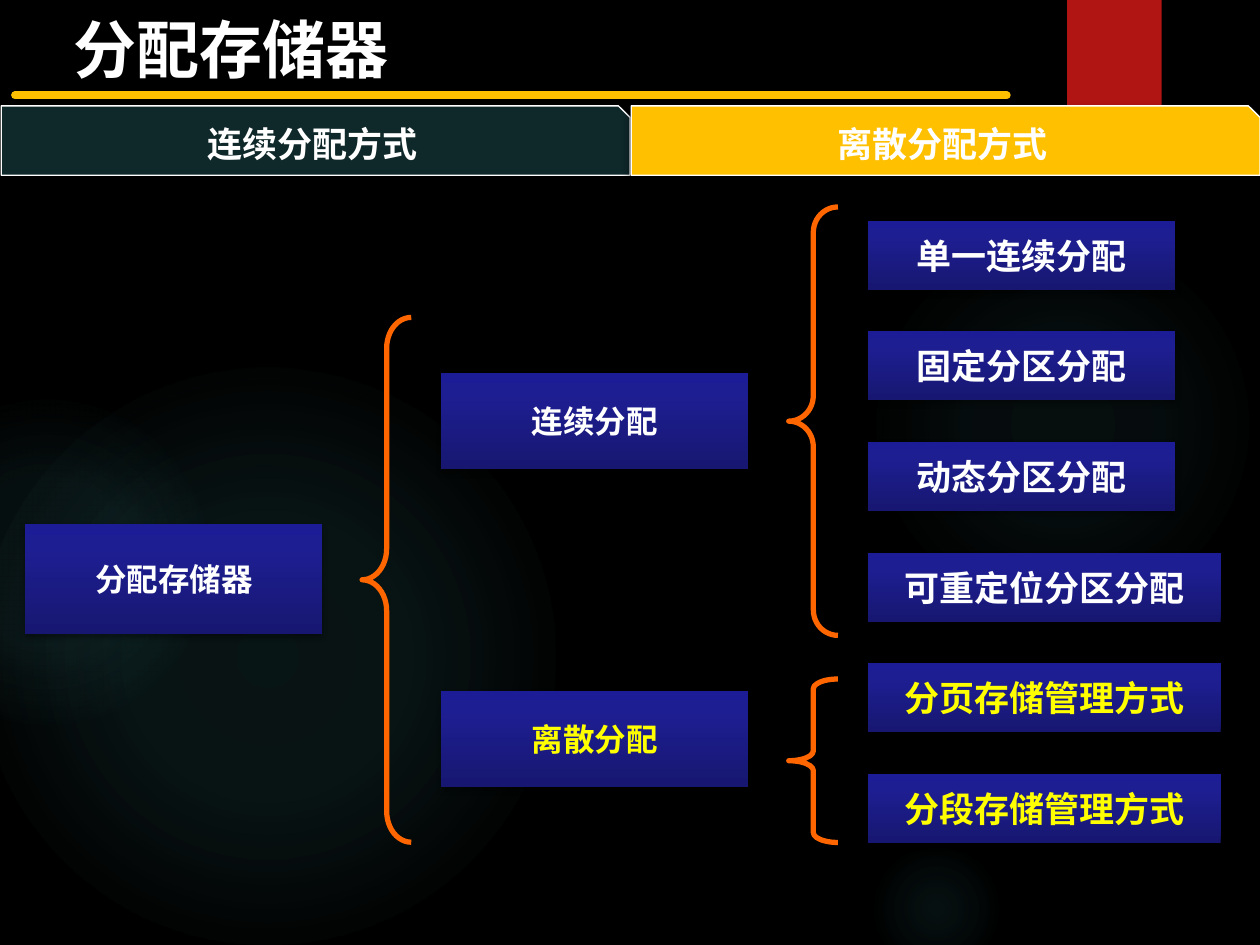
from typing import NamedTuple

from lxml import etree
from pptx import Presentation
from pptx.dml.color import RGBColor
from pptx.enum.shapes import MSO_CONNECTOR, MSO_SHAPE
from pptx.enum.text import MSO_ANCHOR, PP_ALIGN
from pptx.oxml.ns import qn
from pptx.util import Pt

RECTANGLE = MSO_SHAPE.RECTANGLE
ELLIPSE = MSO_SHAPE.OVAL
SNIPPED = MSO_SHAPE.SNIP_1_RECTANGLE
LEFT_BRACE = MSO_SHAPE.LEFT_BRACE

FONT = "Noto Sans CJK SC"
BLACK = RGBColor(0x00, 0x00, 0x00)
WHITE = RGBColor(0xFF, 0xFF, 0xFF)
YELLOW = RGBColor(0xFF, 0xFF, 0x00)
GOLD = RGBColor(0xFF, 0xC0, 0x00)
ORANGE = RGBColor(0xFF, 0x66, 0x00)
RED = RGBColor(0xB0, 0x15, 0x13)
DARK_TEAL = RGBColor(0x0F, 0x28, 0x2A)
GLOW_TEAL = RGBColor(0x50, 0xB9, 0xC1)
NAVY = RGBColor(0x17, 0x17, 0x71)
BLUE = RGBColor(0x1E, 0x1E, 0x93)
BRIGHT_BLUE = RGBColor(0x1C, 0x1C, 0x96)


class Stop(NamedTuple):
    position: int
    color: RGBColor
    opacity: int = 100


class Shadow(NamedTuple):
    opacity: int
    blur: float
    distance: float


class Glow(NamedTuple):
    left: float
    top: float
    size: float
    stops: tuple[tuple[int, int], ...]


class Tab(NamedTuple):
    text: str
    left: float
    color: RGBColor


class Node(NamedTuple):
    text: str
    left: float
    top: float
    width: float
    height: float
    size: int = 18
    color: RGBColor = WHITE


class Brace(NamedTuple):
    left: float
    top: float
    height: float
    curve: float


GLOWS = [
    Glow(496, 131.8, 221.8, ((0, 7), (36, 6), (69, 0))),
    Glow(496, 480.2, 77.8, ((0, 9), (36, 5), (66, 0))),
    Glow(-12.2, 210.2, 329.8, ((0, 11), (36, 10), (75, 0))),
    Glow(-66.2, 228.2, 185.8, ((0, 8), (36, 8), (72, 0))),
]
TABS = [Tab("连续分配方式", 0.7, DARK_TEAL), Tab("离散分配方式", 360.7, GOLD)]
NODE_STOPS = [Stop(0, NAVY), Stop(80, BLUE), Stop(100, BRIGHT_BLUE)]
NODE_SHADOW = Shadow(35, 3.1, 1.8)
TAB_SHADOW = Shadow(60, 5, 3)
BANNER_SHADOW = Shadow(45, 3, 2)

NARROW, WIDE = 175.7, 201.6
LEAF_LEFT, LEAF_TOP, LEAF_STEP, LEAF_HEIGHT = 496, 126.2, 63.2, 39.4
LEAVES = [
    ("单一连续分配", NARROW, WHITE),
    ("固定分区分配", NARROW, WHITE),
    ("动态分区分配", NARROW, WHITE),
    ("可重定位分区分配", WIDE, WHITE),
    ("分页存储管理方式", WIDE, YELLOW),
    ("分段存储管理方式", WIDE, YELLOW),
]
NODES = [
    Node("分配存储器", 14.4, 299.5, 169.9, 63),
    Node("连续分配", 252, 213.1, NARROW, 55.2),
    Node("离散分配", 252, 394.6, NARROW, 55.2, color=YELLOW),
] + [
    Node(text, LEAF_LEFT, LEAF_TOP + row * LEAF_STEP, width, LEAF_HEIGHT, 20, color)
    for row, (text, width, color) in enumerate(LEAVES)
]
BRACE_WIDTH = 28.1
BRACES = [
    Brace(206.9, 181.4, 299.9, 0.63),
    Brace(450.7, 118.3, 244.8, 0.52),
    Brace(450.7, 388, 93.4, 0.2),
]


def add_color(parent, color: RGBColor, opacity: int) -> None:
    node = etree.SubElement(parent, qn("a:srgbClr"), val=str(color))
    if opacity < 100:
        etree.SubElement(node, qn("a:alpha"), val=str(opacity * 1000))


def fill_gradient(shape, stops: list[Stop], radial: bool = False) -> None:
    """Fill from the centre outwards if radial, else from bottom to top."""
    shape.fill.gradient()
    gradient = shape.element.spPr.find(qn("a:gradFill"))
    for child in list(gradient):
        gradient.remove(child)
    stop_list = etree.SubElement(gradient, qn("a:gsLst"))
    for stop in stops:
        item = etree.SubElement(stop_list, qn("a:gs"), pos=str(stop.position * 1000))
        add_color(item, stop.color, stop.opacity)
    if radial:
        circle = etree.SubElement(gradient, qn("a:path"), {"path": "circle"})
        etree.SubElement(circle, qn("a:fillToRect"), dict.fromkeys("ltrb", "50000"))
    else:
        etree.SubElement(gradient, qn("a:lin"), ang="16200000", scaled="0")


def cast_shadow(shape, shadow: Shadow) -> None:
    effects = shape.element.spPr.find(qn("a:effectLst"))
    outer = etree.SubElement(
        effects, qn("a:outerShdw"), blurRad=str(Pt(shadow.blur)),
        dist=str(Pt(shadow.distance)), dir="5400000", rotWithShape="0")
    add_color(outer, BLACK, shadow.opacity)


def add_plain_shape(page, kind, left: float, top: float, width: float, height: float):
    """Add a shape without line or shadow."""
    shape = page.shapes.add_shape(kind, Pt(left), Pt(top), Pt(width), Pt(height))
    shape.shadow.inherit = False
    shape.line.fill.background()
    return shape


def write_text(shape, text: str, *, size: int, color: RGBColor = WHITE, wrap: bool = True) -> None:
    frame = shape.text_frame
    frame.word_wrap = wrap
    frame.vertical_anchor = MSO_ANCHOR.MIDDLE
    para = frame.paragraphs[0]
    para.alignment = PP_ALIGN.CENTER
    span = para.add_run()
    span.text = text
    span.font.name = FONT
    span.font.size = Pt(size)
    span.font.bold = True
    span.font.color.rgb = color
    etree.SubElement(span.font._element, qn("a:ea"), typeface=FONT)


def draw_glow(page, glow: Glow) -> None:
    shape = add_plain_shape(page, ELLIPSE, glow.left, glow.top, glow.size, glow.size)
    stops = [Stop(position, GLOW_TEAL, opacity) for position, opacity in glow.stops]
    fill_gradient(shape, stops, radial=True)


def draw_header(page) -> None:
    banner = add_plain_shape(page, RECTANGLE, 609.8, 0, 54, 86.4)
    banner.fill.solid()
    banner.fill.fore_color.rgb = RED
    cast_shadow(banner, BANNER_SHADOW)

    rule = page.shapes.add_connector(
        MSO_CONNECTOR.STRAIGHT, Pt(8.6), Pt(54.5), Pt(575.3), Pt(54.5))
    rule.line.color.rgb = GOLD
    rule.line.width = Pt(4.5)
    properties = rule.element.spPr
    properties.find(qn("a:ln")).set("cap", "rnd")
    etree.SubElement(properties, qn("a:effectLst"))

    title = page.shapes.title
    title.left, title.top, title.width, title.height = Pt(0.7), Pt(2.2), Pt(262.8), Pt(51.1)
    write_text(title, "分配存储器", size=36)


def draw_tab(page, tab: Tab) -> None:
    shape = add_plain_shape(page, SNIPPED, tab.left, 60.5, 359.3, 39.6)
    shape.fill.solid()
    shape.fill.fore_color.rgb = tab.color
    shape.line.color.rgb = WHITE
    shape.line.width = Pt(0.75)
    cast_shadow(shape, TAB_SHADOW)
    write_text(shape, tab.text, size=20)


def draw_node(page, node: Node) -> None:
    shape = add_plain_shape(page, RECTANGLE, node.left, node.top, node.width, node.height)
    fill_gradient(shape, NODE_STOPS)
    cast_shadow(shape, NODE_SHADOW)
    write_text(shape, node.text, size=node.size, color=node.color, wrap=False)


def draw_brace(page, brace: Brace) -> None:
    shape = add_plain_shape(page, LEFT_BRACE, brace.left, brace.top, BRACE_WIDTH, brace.height)
    shape.adjustments[0] = brace.curve
    shape.fill.background()
    shape.line.color.rgb = ORANGE
    shape.line.width = Pt(3)


def main() -> None:
    deck = Presentation()
    deck.slide_width, deck.slide_height = Pt(720), Pt(540)
    page = deck.slides.add_slide(deck.slide_layouts[5])
    page.background.fill.solid()
    page.background.fill.fore_color.rgb = BLACK
    for glow in GLOWS:
        draw_glow(page, glow)
    draw_header(page)
    for tab in TABS:
        draw_tab(page, tab)
    for node in NODES:
        draw_node(page, node)
    for brace in BRACES:
        draw_brace(page, brace)
    deck.save("out.pptx")


if __name__ == "__main__":
    main()
